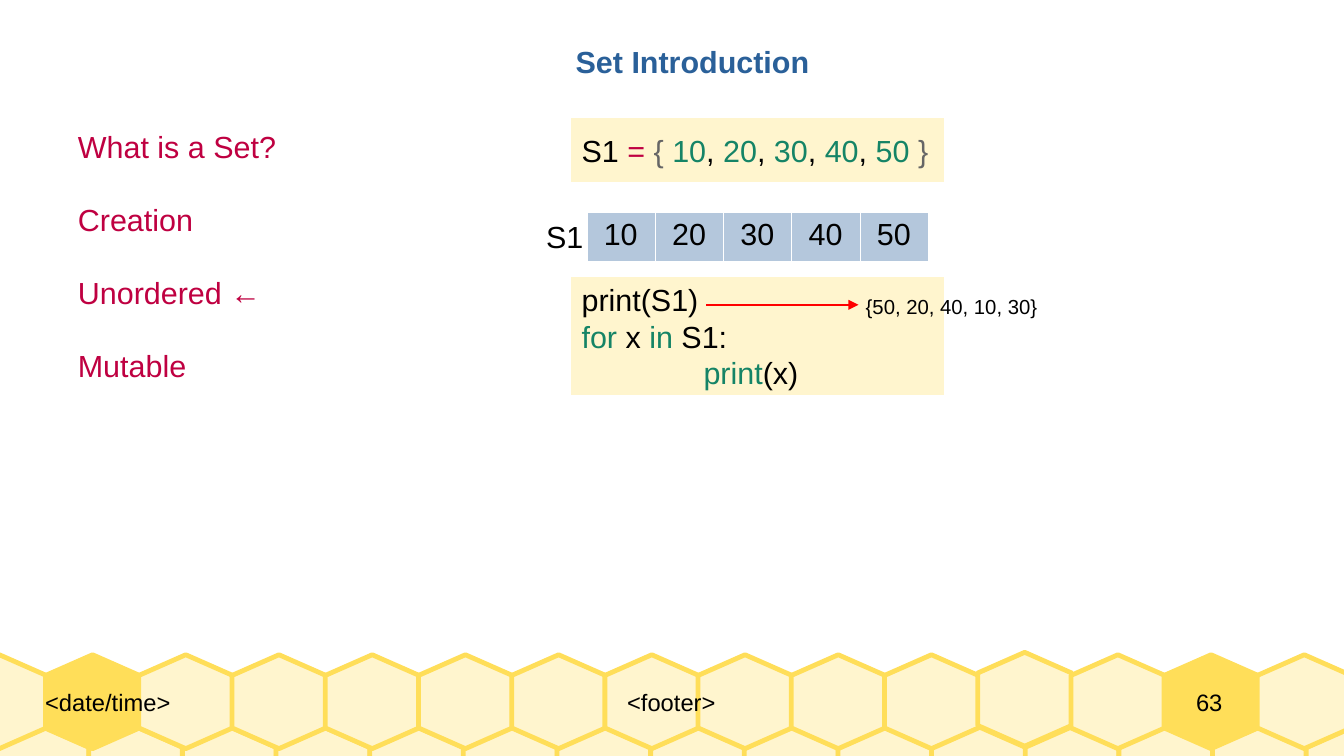
from dataclasses import dataclass

from lxml import etree
from pptx import Presentation
from pptx.dml.color import RGBColor
from pptx.enum import shapes as es, text as et
from pptx.oxml.ns import qn
from pptx.util import Inches, Pt


@dataclass(frozen=True)
class Theme:
    font: str = "Arial"
    body: int = 18
    foot: int = 14
    small: int = 12
    black: str = "000000"
    white: str = "FFFFFF"
    blue: str = "2A6099"
    rose: str = "BF0041"
    green: str = "158466"
    gray: str = "666666"
    cream: str = "FFF5CE"
    gold: str = "FFDE59"
    cell: str = "B4C7DC"
    red: str = "FF0000"


T = Theme()
TITLE = "Set Introduction"
TOPICS = ["What is a Set?", "Creation", "Unordered ←", "Mutable"]
ITEMS = ["10", "20", "30", "40", "50"]
OUTPUT = "{50, 20, 40, 10, 30}"
FOOTER = [  # text, left, width, centred
    ("<date/time>", 0.37, 2.63, False),
    ("<footer>", 3, 5.01, True),
    ("63", 9.29, 1.25, True),
]
ASSIGN = [("S1 ", T.black), ("= ", T.rose), ("{ ", T.gray), (ITEMS[0], T.green)]
for item in ITEMS[1:]:
    ASSIGN += [(",", T.black), (" " + item, T.green)]
ASSIGN.append((" }", T.gray))
LOOP = [
    [("print(S1)", T.black)],
    [("for", T.green), (" x ", T.black), ("in", T.green), (" S1:", T.black)],
    [("\t", T.black), ("print", T.green), ("(x)", T.black)],
]

HEX = 0.77
COUNT = 15
ROWS = [(-0.04, 10.71, 5.96), (-0.39, 10.31, 5.37)]  # first left, last left, top
SOLID = [1, 13]  # gold cells of the upper row
RAISED = 11  # cell of the upper row that sits a little higher


def rgb(code):
    return RGBColor.from_string(code)


def place(shape, left, top, width, height):
    shape.left, shape.top = Inches(left), Inches(top)
    shape.width, shape.height = Inches(width), Inches(height)


def style(font, color, size=T.body, bold=False):
    font.name, font.size, font.bold = T.font, Pt(size), bold
    font.color.rgb = rgb(color)


def paint(shape, fill, line, width):
    shape.shadow.inherit = False
    shape.fill.solid()
    shape.fill.fore_color.rgb = rgb(fill)
    shape.line.color.rgb = rgb(line)
    shape.line.width = Pt(width)


def write(shape, lines, color, size=T.body, bold=False, gap=0):
    """Fill a shape with one-colour lines that do not wrap."""
    frame = shape.text_frame
    frame.text = "\n".join(lines)
    frame.word_wrap = False
    frame.auto_size = et.MSO_AUTO_SIZE.NONE
    frame.vertical_anchor = et.MSO_ANCHOR.TOP
    for i, para in enumerate(frame.paragraphs):
        para.alignment = et.PP_ALIGN.LEFT
        para.space_before = Pt(gap if i else 0)
        for run in para.runs:
            style(run.font, color, size, bold)


def label(slide, box, lines, color, **look):
    shape = slide.shapes.add_textbox(*map(Inches, box))
    write(shape, lines, color, **look)
    return shape


def add_hex(slide, left, top, fill):
    mid, low, high = HEX / 2, 0.17, 0.6
    dots = [(mid, 0), (0, low), (0, high), (mid, HEX), (HEX, high), (HEX, low)]
    points = [(Inches(left + x), Inches(top + y)) for x, y in dots]
    path = slide.shapes.build_freeform(*points[0])
    path.add_line_segments(points[1:], close=True)
    paint(path.convert_to_shape(), fill, T.gold, 2.83)


def add_comb(slide):
    for row, (first, last, top) in enumerate(ROWS):
        step = (last - first) / (COUNT - 1)
        for i in range(COUNT):
            fill = T.gold if row and i in SOLID else T.cream
            lift = 0.02 if row and i == RAISED else 0
            add_hex(slide, first + i * step, top - lift, fill)


def add_footer(slide):
    for words, left, width, mid in FOOTER:
        box = (left, ROWS[1][2], width, HEX)
        frame = label(slide, box, [words], T.black, size=T.foot).text_frame
        frame.margin_left = frame.margin_right = 0
        frame.margin_top = frame.margin_bottom = 0
        frame.word_wrap = True
        frame.vertical_anchor = et.MSO_ANCHOR.MIDDLE
        if mid:
            frame.paragraphs[0].alignment = et.PP_ALIGN.CENTER


def add_code(slide, top, height, lines):
    box = map(Inches, (4.67, top, 3.08, height))
    shape = slide.shapes.add_shape(es.MSO_SHAPE.RECTANGLE, *box)
    paint(shape, T.cream, T.white, 1.42)
    frame = shape.text_frame
    frame.word_wrap = True
    frame.vertical_anchor = et.MSO_ANCHOR.MIDDLE
    for i, parts in enumerate(lines):
        para = frame.add_paragraph() if i else frame.paragraphs[0]
        para.alignment = et.PP_ALIGN.LEFT
        tabs = etree.SubElement(para._p.get_or_add_pPr(), qn("a:tabLst"))
        etree.SubElement(tabs, qn("a:tab"), pos=str(Inches(1)), algn="l")
        for words, color in parts:
            run = para.add_run()
            run.text = words
            style(run.font, color)


def add_border(cell):
    props = cell._tc.get_or_add_tcPr()
    for i, side in enumerate(("lnL", "lnR", "lnT", "lnB")):
        line = etree.Element(qn("a:" + side), w=str(Pt(0.06)))
        fill = etree.SubElement(line, qn("a:solidFill"))
        etree.SubElement(fill, qn("a:srgbClr"), val=T.white)
        props.insert(i, line)


def add_items(slide):
    box = map(Inches, (4.81, 1.74, 2.8, 0.4))
    table = slide.shapes.add_table(1, len(ITEMS), *box).table
    table.first_row = table.horz_banding = False
    for cell, item in zip(table.rows[0].cells, ITEMS):
        cell.text = item
        cell.fill.solid()
        cell.fill.fore_color.rgb = rgb(T.cell)
        para = cell.text_frame.paragraphs[0]
        para.alignment = et.PP_ALIGN.CENTER
        style(para.runs[0].font, T.black)
        add_border(cell)


def add_arrow(slide):
    ends = map(Inches, (5.79, 2.5, 7.04, 2.5))
    arrow = slide.shapes.add_connector(es.MSO_CONNECTOR.STRAIGHT, *ends)
    arrow.line.color.rgb = rgb(T.red)
    arrow.line.width = Pt(1.42)
    etree.SubElement(arrow.line._get_or_add_ln(), qn("a:tailEnd"), type="triangle")
    etree.SubElement(arrow._element.spPr, qn("a:effectLst"))


def main():
    deck = Presentation()
    deck.slide_width, deck.slide_height = Inches(11.02), Inches(6.2)
    slide = deck.slides.add_slide(deck.slide_layouts[5])
    add_comb(slide)
    add_footer(slide)
    title = slide.shapes.title
    place(title, 4.62, 0.3, 2.12, 0.38)
    write(title, [TITLE], T.blue, bold=True)
    label(slide, (0.54, 1, 1.82, 2.06), TOPICS, T.rose, gap=21.5)
    add_code(slide, 0.96, 0.54, [ASSIGN])
    add_items(slide)
    label(slide, (4.38, 1.74, 0.5, 0.38), ["S1"], T.black)
    add_code(slide, 2.26, 0.99, LOOP)
    add_arrow(slide)
    label(slide, (7, 2.36, 1.61, 0.29), [OUTPUT], T.black, size=T.small)
    deck.save("out.pptx")


if __name__ == "__main__":
    main()
